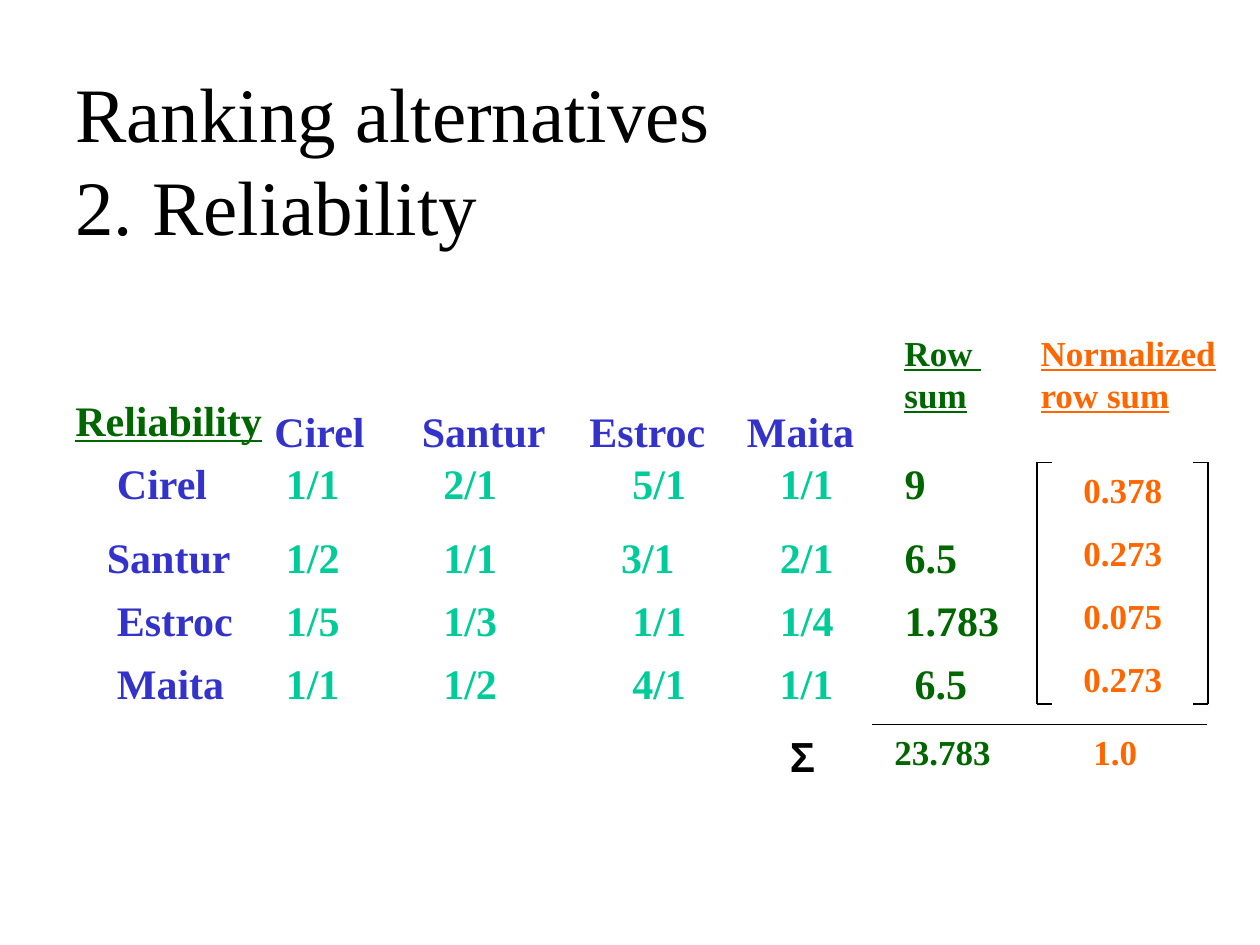
import pptx
import pptx.util
import pptx.dml.color
import pptx.enum.text
import pptx.oxml
import pptx.oxml.ns
from lxml import etree

# Content
TITLE = "Ranking alternatives\v2. Reliability"
CARS = ["Cirel", "Santur", "Estroc", "Maita"]
RATIOS = [
    ["1/1", "2/1", "5/1", "1/1"],
    ["1/2", "1/1", "3/1", "2/1"],
    ["1/5", "1/3", "1/1", "1/4"],
    ["1/1", "1/2", "4/1", "1/1"],
]
SUMS = ["9", "6.5", "1.783", "6.5"]
SHARES = ["0.378", "0.273", "0.075", "0.273"]
COLORS = {"ink": "000000", "head": "006600", "car": "3333CC",
          "ratio": "00CC99", "share": "FF6600"}

# Grid
WIDE, HIGH = 10, 7.5
ROWS = [3.58, 4.17, 4.67, 5.17]
COLS = [2.08, 3.25, 4.58, 5.83]
NAMES = [0.94, 1.18, 1.12, 1.05]    # width of each car name
SIDE = [0.83, 0.75, 0.83, 0.83]     # left of each row name
TABS = [1.25, 2.75, 3.92, 4.91]     # stops after the first ratio
NUDGE = {(1, 1): -0.09, (3, 3): 0.08}
START = 2.27                        # where the first ratio begins
FOOT = 5.75                         # rule and totals
FACE = "Times New Roman"

inch = pptx.util.Inches
deck = pptx.Presentation()
deck.slide_width, deck.slide_height = inch(WIDE), inch(HIGH)
slide = deck.slides.add_slide(deck.slide_layouts[6])


def paint(font, color):
    font.color.rgb = pptx.dml.color.RGBColor.from_string(COLORS[color])


def style(para, size, color, bold=True, line=False, face=FACE):
    font = para.font
    font.size, font.name, font.bold = pptx.util.Pt(size), face, bold
    if line:
        font.underline = True
    paint(font, color)


def frame(left, top, width, height, wrap=False):
    box = slide.shapes.add_textbox(*map(inch, (left, top, width, height)))
    box.text_frame.word_wrap = wrap
    return box.text_frame


def label(lines, place, size, color, space=None, **look):
    body = frame(*place)
    body.auto_size = pptx.enum.text.MSO_AUTO_SIZE.SHAPE_TO_FIT_TEXT
    for i, text in enumerate(lines):
        para = body.paragraphs[0] if i == 0 else body.add_paragraph()
        para.text = text
        if i and space:
            para.line_spacing = space
        style(para, size, color, **look)


def rule(x1, y1, x2, y2):
    line = slide.shapes.add_connector(1, *map(inch, (x1, y1, x2, y2)))
    line.line.width = pptx.util.Pt(1)
    paint(line.line, "ink")
    etree.SubElement(line._element.spPr, pptx.oxml.ns.qn("a:effectLst"))


# Title
body = frame(0.5, 0.42, 8.5, 1.67, wrap=True)
body.vertical_anchor = pptx.enum.text.MSO_ANCHOR.MIDDLE
body.text = TITLE
style(body.paragraphs[0], 44, "ink", bold=False)

# Headings
label(["Reliability"], (0.5, 3.08, 1.68, 0.5), 24, "head", line=True)
label(["Row ", "sum"], (7.08, 2.58, 0.81, 0.76), 20, "head", line=True)
label(["Normalized", "row sum"], (8.16, 2.58, 1.59, 0.76), 20, "share",
      line=True)

# Car names across and down
for car, width, col, side, top in zip(CARS, NAMES, COLS, SIDE, ROWS):
    label([car], (col, 3.17, width, 0.5), 24, "car")
    label([car], (side, top, width, 0.5), 24, "car")

# Ratios and row sums, one tabbed line per row
for i, (row, total, top) in enumerate(zip(RATIOS, SUMS, ROWS)):
    left = 1.92 + i / 12
    body = frame(left, top, 6, 0.5, wrap=True)
    body.margin_left = inch(START - left)
    para = body.paragraphs[0]
    stops = etree.SubElement(para._p.get_or_add_pPr(),
                             pptx.oxml.ns.qn("a:tabLst"))
    for j, stop in enumerate(TABS):
        tab = etree.SubElement(stops, pptx.oxml.ns.qn("a:tab"))
        tab.set("pos", str(inch(stop + NUDGE.get((i, j), 0))))
        tab.set("algn", "l")
    style(para, 24, "ratio")
    for text, color in (("\t".join(row) + "\t", "ratio"), (total, "head")):
        run = para.add_run()
        run.text = text
        paint(run.font, color)

# Bracketed shares
for edge, turn in ((8.23, 1), (9.59, -1)):
    rule(edge, 3.67, edge, 5.59)
    for y in (3.67, 5.59):
        rule(edge, y, edge + turn * 0.12, y)
label(SHARES, (8.5, 3.67, 0.83, 1.93), 20, "share", space=1.5)

# Totals
rule(9.58, FOOT, 6.92, FOOT)
label(["Σ"], (6.17, FOOT, 0.4, 0.5), 24, "ink", face="Arial")
label(["23.783"], (7, FOOT, 0.97, 0.43), 20, "head")
label(["1.0"], (8.58, FOOT, 0.55, 0.43), 20, "share")

deck.save("out.pptx")
